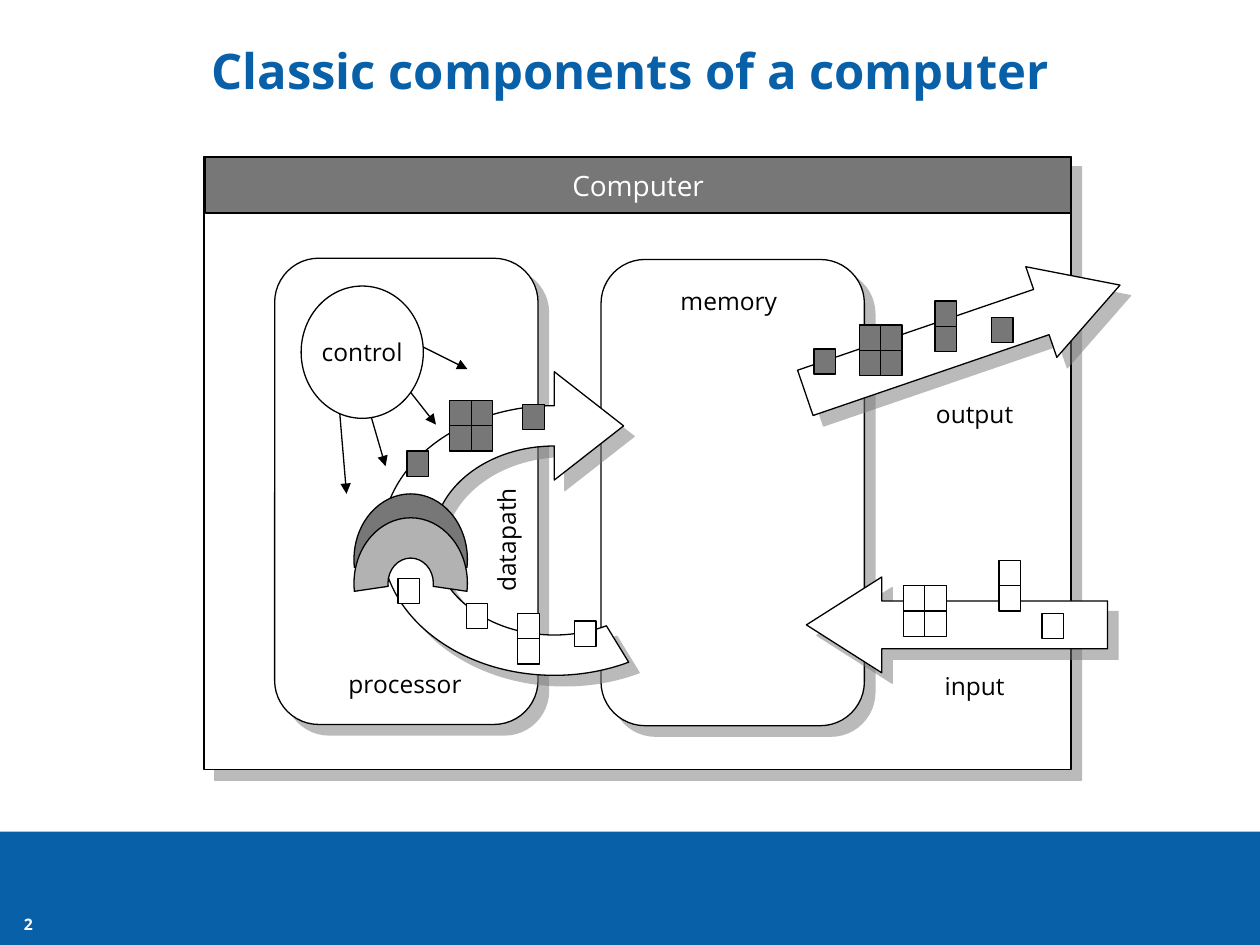
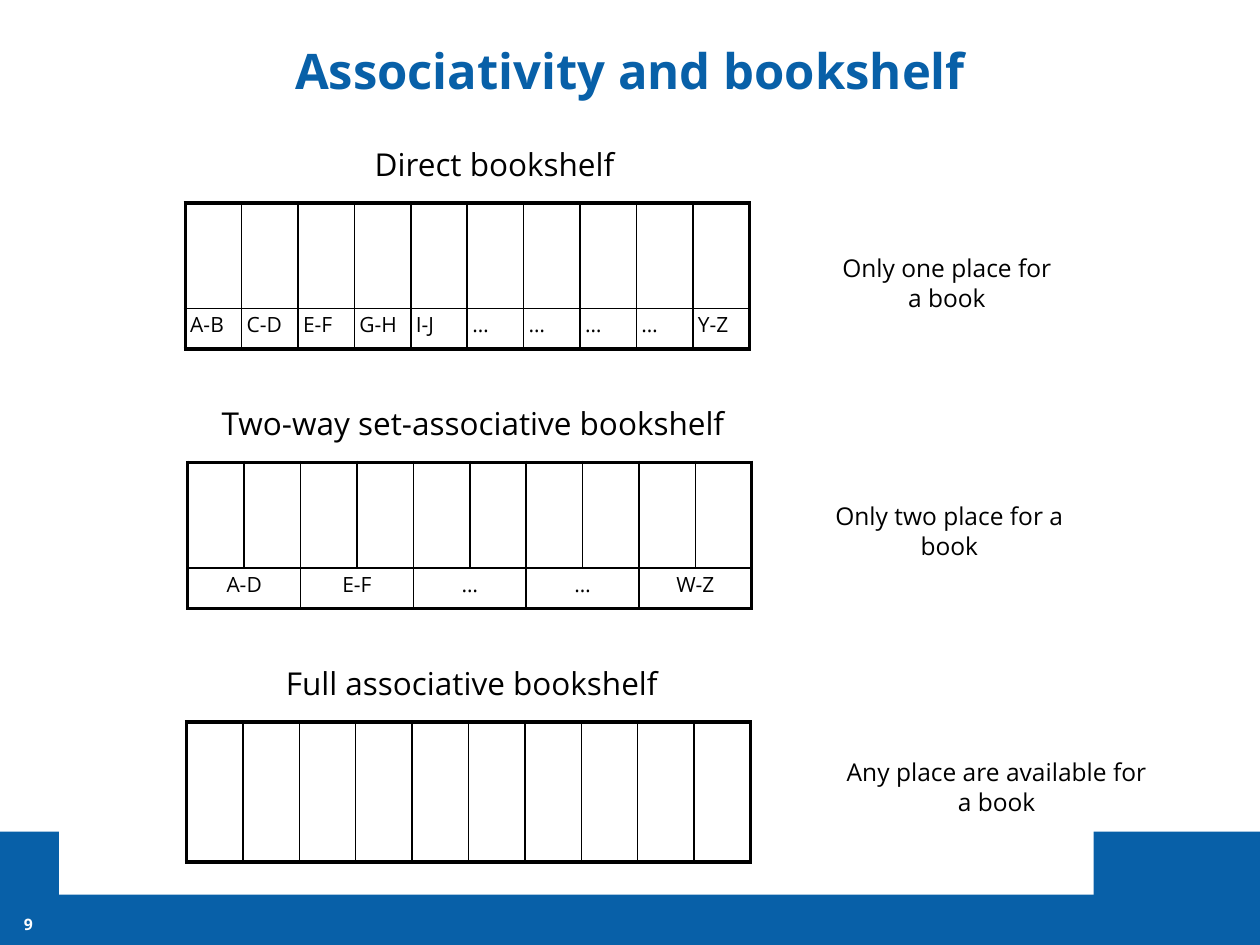
from dataclasses import dataclass
from math import cos, radians, sin, tan

from lxml import etree
from pptx import Presentation
from pptx.dml.color import RGBColor
from pptx.enum.shapes import MSO_CONNECTOR, MSO_SHAPE
from pptx.enum.text import MSO_ANCHOR, PP_ALIGN
from pptx.oxml.ns import qn
from pptx.util import Inches, Pt

RECTANGLE, ROUNDED = MSO_SHAPE.RECTANGLE, MSO_SHAPE.ROUNDED_RECTANGLE
LEFT_ARROW, OVAL = MSO_SHAPE.LEFT_ARROW, MSO_SHAPE.OVAL
STRAIGHT = MSO_CONNECTOR.STRAIGHT
TOP, MIDDLE = MSO_ANCHOR.TOP, MSO_ANCHOR.MIDDLE
LEFT, CENTER = PP_ALIGN.LEFT, PP_ALIGN.CENTER

@dataclass(frozen=True)
class Theme:
    font: str = "Open Sans"
    blue: str = "0860A8"
    white: str = "FFFFFF"
    black: str = "000000"
    gray: str = "777777"
    light_gray: str = "B2B2B2"
    title: float = 28
    heading: float = 18
    banner: float = 16
    label: float = 14
    cell: float = 12
    number: float = 9
    outline: float = 0.75
    inner_border: float = 1
    outer_border: float = 2.25

THEME = Theme()

# Content: computer diagram
COMPUTER_TITLE, COMPUTER_NUMBER = "Classic components of a computer", "2"
COMPUTER_BOX = (1.62, 1.24, 6.88, 4.87)
COMPUTER_BANNER = ("Computer", (1.63, 1.25, 6.87, 0.44))
UNIT_BOXES = [(2.18, 2.05, 2.09, 3.7), (4.77, 2.06, 2.09, 3.7)]
CONTROL = ("control", (2.39, 2.27, 0.97, 1.05))
# box, head length ratio, rotation
PORT_ARROWS = [((6.4, 4.58, 2.39, 0.76), 0.787, 0),
               ((6.32, 2.31, 2.64, 0.76), 0.869, 161.1)]
# left, top, columns, rows of each group of data squares
DATA_SIZE = (0.17, 0.2)
DATA_IN = [(7.93, 4.45, 1, 2), (7.17, 4.65, 2, 2), (8.27, 4.87, 1, 1),
           (4.56, 4.93, 1, 1), (4.11, 4.87, 1, 2), (3.7, 4.79, 1, 1),
           (3.16, 4.59, 1, 1)]
DATA_OUT = [(3.23, 3.58, 1, 1), (3.57, 3.18, 2, 2), (4.15, 3.21, 1, 1),
            (6.46, 2.77, 1, 1), (6.82, 2.58, 2, 2), (7.42, 2.39, 1, 2),
            (7.87, 2.52, 1, 1)]
LABELS = [("memory", (5.2, 2.22, 1.17, 0.33), 0),
          ("processor", (2.47, 5.26, 1.49, 0.33), 0),
          ("input", (6.99, 5.28, 1.49, 0.33), 0),
          ("output", (6.99, 3.12, 1.49, 0.33), 0),
          ("datapath", (3.41, 4.12, 1.21, 0.33), 270)]
CONTROL_LINES = [((2.9, 3.15), (3.06, 3.7)), ((3.17, 3), (3.46, 3.37)),
                 ((3.25, 2.7), (3.71, 2.93)), ((2.69, 3.2), (2.75, 3.92))]
# Datapath ring: centre, radii, end angles, then the arrowhead
RING_CENTER, RING_INNER, RING_OUTER = (4.4, 4.29), (0.96, 0.75), (1.37, 1.07)
RING_TOP, RING_END = 270, 64.5
RING_HEAD = [(4.4, 2.95), (4.95, 3.38), (4.4, 3.81)]
# Arches between the ring ends: centre and fill
ARCH_INNER, ARCH_OUTER, ARCH_DIP = (0.18, 0.2), (0.45, 0.52), 7
ARCHES = [((3.26, 4.44), THEME.gray), ((3.26, 4.63), THEME.light_gray)]

# Content: bookshelves
SHELF_TITLE, SHELF_NUMBER = "Associativity and bookshelf", "9"
SHELF_BACKDROP = (0.47, 6.47, 8.21, 0.63)
SHELF_COLUMNS, SHELF_WIDTH = 10, 4.48
SHELVES = [
    {"heading": ("Direct bookshelf", (2.49, 1.1, 2.87, 0.4)),
     "note": ("Only one place for a book", (6.51, 1.96, 2.01, 0.57)),
     "at": (1.47, 1.61), "rows": [0.84, 0.32], "align": LEFT,
     "labels": ["A-B", "C-D", "E-F", "G-H", "I-J", "…", "…", "…", "…", "Y-Z"]},
    {"heading": ("Two-way set-associative bookshelf", (1.39, 3.16, 4.73, 0.4)),
     "note": ("Only two place for a book", (6.53, 3.93, 2.01, 0.57)),
     "at": (1.49, 3.67), "rows": [0.84, 0.32], "align": CENTER,
     "labels": ["A-D", "E-F", "…", "…", "W-Z"]},
    {"heading": ("Full associative bookshelf", (1.38, 5.22, 4.73, 0.4)),
     "note": ("Any place are available for a book", (6.57, 5.96, 2.68, 0.57)),
     "at": (1.48, 5.73), "rows": [1.11], "align": CENTER, "labels": []},
]

# Drawing helpers; "shapes" is the collection of a slide or of a group
def color(value):
    return RGBColor.from_string(value)

def inches(values):
    return [Inches(value) for value in values]

def write(frame, text, size=THEME.label, ink=THEME.black, bold=False,
          align=CENTER, spacing=None):
    paragraph = frame.paragraphs[0]
    paragraph.alignment = align
    if spacing:
        paragraph.line_spacing = spacing
    run = paragraph.add_run()
    run.text = text
    run.font.name, run.font.size, run.font.bold = THEME.font, Pt(size), bold
    run.font.color.rgb = color(ink)

def add_text(shapes, text, box, anchor=TOP, margins=(0.1, 0.05), rotation=0,
             **text_format):
    shape = shapes.add_textbox(*inches(box))
    shape.rotation = rotation
    frame = shape.text_frame
    frame.word_wrap, frame.vertical_anchor = True, anchor
    frame.margin_left = frame.margin_right = Inches(margins[0])
    frame.margin_top = frame.margin_bottom = Inches(margins[1])
    write(frame, text, **text_format)

def style(shape, fill, outlined=True, shadow=False):
    shape.fill.solid()
    shape.fill.fore_color.rgb = color(fill)
    if outlined:
        shape.line.color.rgb = color(THEME.black)
        shape.line.width = Pt(THEME.outline)
    else:
        shape.line.fill.background()
    shape.shadow.inherit = False
    if shadow:
        effects = shape.element.spPr.find(qn("a:effectLst"))
        outer = etree.SubElement(effects, qn("a:outerShdw"), blurRad="0",
                                 dist=str(Pt(8.5)), dir="2700000",
                                 algn="ctr", rotWithShape="0")
        tone = etree.SubElement(outer, qn("a:srgbClr"), val=THEME.gray)
        etree.SubElement(tone, qn("a:alpha"), val="50000")

def add_shape(shapes, kind, box, fill=THEME.white, adjustments=(), rotation=0,
              text=None, text_format=None, **look):
    shape = shapes.add_shape(kind, *inches(box))
    shape.rotation = rotation
    for index, value in enumerate(adjustments):
        shape.adjustments[index] = value
    style(shape, fill, **look)
    if text:
        shape.text_frame.word_wrap = False
        shape.text_frame.vertical_anchor = MIDDLE
        write(shape.text_frame, text, **(text_format or {}))

def arc(center, radii, start, end):
    """First point, then one curve of three points per quadrant crossed."""
    def place(angle, slide_along=0):
        x, y = cos(angle), sin(angle)
        return (center[0] + radii[0] * (x - slide_along * y),
                center[1] + radii[1] * (y + slide_along * x))

    low, high = sorted((start, end))
    stops = [low, *(a for a in range(0, 450, 90) if low < a < high), high]
    stops = [radians(a) for a in (stops if start < end else stops[::-1])]
    curves = []
    for here, there in zip(stops, stops[1:]):
        reach = 4 / 3 * tan((there - here) / 4)
        curves.append([place(here, reach), place(there, -reach), place(there)])
    return [[place(stops[0])], *curves]

def add_outline(shapes, segments, fill, **look):
    points = [tuple(inches(point)) for part in segments for point in part]
    builder = shapes.build_freeform(*points[0])
    builder.add_line_segments(points[1:], close=True)
    shape = builder.convert_to_shape()
    # Turn each run of three points into one curve
    path = shape.element.spPr.find(".//" + qn("a:path"))
    lines = iter(path.findall(qn("a:lnTo")))
    for part in segments[1:]:
        steps = [next(lines) for _ in part]
        if len(part) == 3:
            curve = etree.Element(qn("a:cubicBezTo"))
            steps[0].addprevious(curve)
            for step in steps:
                curve.append(step[0])
                path.remove(step)
    style(shape, fill, **look)

def add_arrow(shapes, start, end):
    line = shapes.add_connector(STRAIGHT, *inches(start + end))
    line.line.color.rgb = color(THEME.black)
    line.line.width = Pt(THEME.outline)
    properties = line.element.spPr
    etree.SubElement(properties.find(qn("a:ln")), qn("a:tailEnd"),
                     type="triangle")
    etree.SubElement(properties, qn("a:effectLst"))

def set_borders(cell, borders):
    properties = cell._tc.get_or_add_tcPr()
    for position, (side, width) in enumerate(borders):
        line = etree.Element(qn(f"a:ln{side}"), w=str(Pt(width)))
        fill = etree.SubElement(line, qn("a:solidFill"))
        etree.SubElement(fill, qn("a:srgbClr"), val=THEME.black)
        properties.insert(position, line)

def add_shelf(shapes, at, rows, labels, align):
    box = (*at, SHELF_WIDTH, sum(rows))
    table = shapes.add_table(len(rows), SHELF_COLUMNS, *inches(box)).table
    table.first_row = table.horz_banding = False
    for column in table.columns:
        column.width = Inches(SHELF_WIDTH / SHELF_COLUMNS)
    for row, height in zip(table.rows, rows):
        row.height = Inches(height)
    # Labels share the bottom row evenly
    span = SHELF_COLUMNS // len(labels) if labels else 1
    for index, label in enumerate(labels):
        cell = table.cell(len(rows) - 1, index * span)
        if span > 1:
            cell.merge(table.cell(len(rows) - 1, (index + 1) * span - 1))
        cell.margin_left = cell.margin_right = Inches(0.04)
        cell.margin_top = cell.margin_bottom = Inches(0.02)
        write(cell.text_frame, label, size=THEME.cell, align=align,
              spacing=0.95)

    # Thick frame, thin inner lines
    def width(on_edge):
        return THEME.outer_border if on_edge else THEME.inner_border

    for row in range(len(rows)):
        for column in range(SHELF_COLUMNS):
            cell = table.cell(row, column)
            cell.fill.background()
            reach = column + (cell.span_width if cell.is_merge_origin else 1)
            borders = [("L", width(column == 0)),
                       ("R", width(reach == SHELF_COLUMNS)),
                       ("T", width(row == 0)),
                       ("B", width(row == len(rows) - 1))]
            set_borders(cell, borders[1:] if cell.is_spanned else borders)

def add_slide(presentation, title, number, backdrop=None):
    slide = presentation.slides.add_slide(presentation.slide_layouts[6])
    shapes = slide.shapes
    add_shape(shapes, RECTANGLE, (0, 6.6, 10, 0.9), THEME.blue, outlined=False)
    add_text(shapes, number, (0, 7.17, 0.45, 0.33), anchor=MIDDLE,
             margins=(0, 0), size=THEME.number, ink=THEME.white, bold=True)
    if backdrop:
        add_shape(shapes, RECTANGLE, backdrop, outlined=False)
    add_text(shapes, title, (0.4, 0.17, 9.2, 0.83), anchor=MIDDLE,
             size=THEME.title, ink=THEME.blue, bold=True, spacing=0.9)
    return slide

def build_computer(presentation):
    slide = add_slide(presentation, COMPUTER_TITLE, COMPUTER_NUMBER)
    shapes = slide.shapes.add_group_shape().shapes
    # Case, banner, processor and memory
    add_shape(shapes, RECTANGLE, COMPUTER_BOX, shadow=True)
    text, box = COMPUTER_BANNER
    add_shape(shapes, RECTANGLE, box, THEME.gray, text=text,
              text_format={"size": THEME.banner, "ink": THEME.white})
    for box in UNIT_BOXES:
        add_shape(shapes, ROUNDED, box, adjustments=[0.167], shadow=True)
    # Datapath ring and arches
    ring = (arc(RING_CENTER, RING_INNER, RING_TOP, RING_END)
            + arc(RING_CENTER, RING_OUTER, RING_END, RING_TOP)
            + [[point] for point in RING_HEAD])
    add_outline(shapes, ring, THEME.white, shadow=True)
    start, end = 180 - ARCH_DIP, 360 + ARCH_DIP
    for center, fill in ARCHES:
        add_outline(shapes, arc(center, ARCH_INNER, start, end)
                    + arc(center, ARCH_OUTER, end, start), fill)
    # Input and output arrows
    for box, head, rotation in PORT_ARROWS:
        add_shape(shapes, LEFT_ARROW, box, adjustments=[0.5, head],
                  rotation=rotation, shadow=True)
    # Data squares
    width, height = DATA_SIZE
    for groups, fill in ((DATA_IN, THEME.white), (DATA_OUT, THEME.gray)):
        for left, top, columns, rows in groups:
            for index in range(columns * rows):
                row, column = divmod(index, columns)
                add_shape(shapes, RECTANGLE, (left + column * width,
                          top + row * height, width, height), fill)
    # Labels and control
    for text, box, rotation in LABELS:
        add_text(shapes, text, box, rotation=rotation)
    for start, end in CONTROL_LINES:
        add_arrow(shapes, start, end)
    text, box = CONTROL
    add_shape(shapes, OVAL, box, text=text)

def build_bookshelves(presentation):
    slide = add_slide(presentation, SHELF_TITLE, SHELF_NUMBER, SHELF_BACKDROP)
    for shelf in SHELVES:
        add_shelf(slide.shapes, shelf["at"], shelf["rows"], shelf["labels"],
                  shelf["align"])
        add_text(slide.shapes, *shelf["heading"], size=THEME.heading)
        add_text(slide.shapes, *shelf["note"])

presentation = Presentation()
presentation.slide_width, presentation.slide_height = Inches(10), Inches(7.5)
build_computer(presentation)
build_bookshelves(presentation)
presentation.save("out.pptx")
